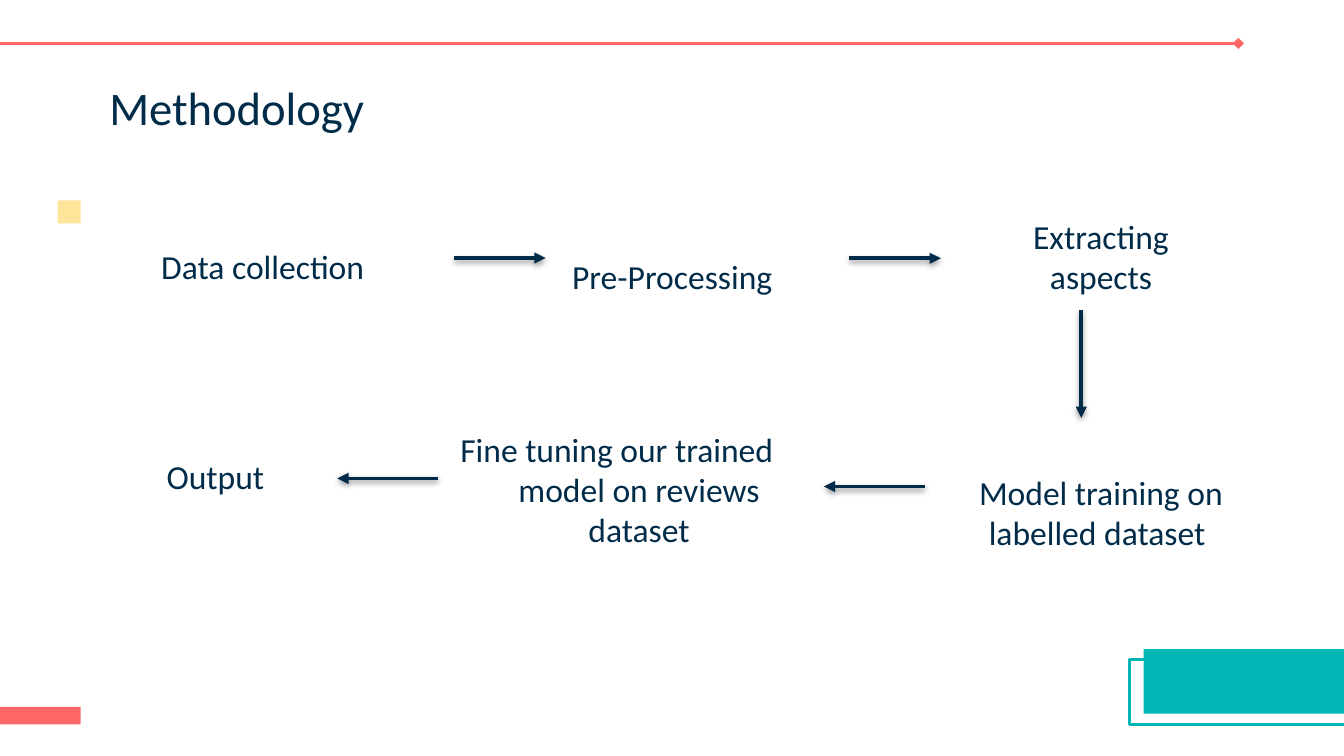
from dataclasses import dataclass

from lxml import etree
from pptx import Presentation
from pptx.dml.color import RGBColor
from pptx.enum.shapes import MSO_CONNECTOR, MSO_SHAPE
from pptx.enum.text import MSO_ANCHOR, PP_ALIGN
from pptx.oxml import parse_xml
from pptx.oxml.ns import nsdecls, qn
from pptx.util import Emu, Inches, Pt

RECTANGLE = MSO_SHAPE.RECTANGLE
STRAIGHT = MSO_CONNECTOR.STRAIGHT
TOP, BOTTOM = MSO_ANCHOR.TOP, MSO_ANCHOR.BOTTOM
LEFT, CENTER = PP_ALIGN.LEFT, PP_ALIGN.CENTER

COLORS = {
    "navy": "012C49",
    "coral": "FF6768",
    "teal": "00B7B5",
    "sand": "FFE599",
}
FONT = "Calibri"
CELL = Inches(0.1)
COLUMNS, ROWS = 100, 56.25
STEP_WIDTH = 26.2


@dataclass(frozen=True)
class Area:
    column: float
    row: float
    columns: float
    rows: float


@dataclass(frozen=True)
class Step:
    text: str
    area: Area
    hanging: bool = False


@dataclass(frozen=True)
class Arrow:
    column: float
    row: float
    across: float = 0
    down: float = 0


@dataclass(frozen=True)
class Block:
    area: Area
    color: str
    outlined: bool = False


BLOCKS = [
    Block(Area(4.3, 14.92, 1.7, 1.7), "sand"),
    Block(Area(85.1, 48.3, 21.1, 4.8), "teal"),
    Block(Area(84.04, 49.1, 21.1, 4.8), "teal", outlined=True),
    Block(Area(-2.8, 52.6, 8.8, 1.3), "coral"),
]
STEPS = [
    Step("Data collection", Area(6.45, 14.6, STEP_WIDTH, 7.7)),
    Step("Pre-Processing", Area(36.07, 15.35, STEP_WIDTH, 7.7), hanging=True),
    Step("Extracting\naspects", Area(68.82, 15.35, STEP_WIDTH, 7.7)),
    Step("Model training on labelled dataset ", Area(68.82, 32, STEP_WIDTH, 10.1)),
    Step("Fine tuning our trained model on reviews dataset",
         Area(28.8, 30.4, 32.5, 11.5), hanging=True),
    Step("Output", Area(2.93, 30.24, STEP_WIDTH, 7.7)),
]
ARROWS = [
    Arrow(33.8, 19.2, across=6.8),
    Arrow(63.2, 19.22, across=6.8),
    Arrow(80.45, 23.1, down=8),
    Arrow(68.8, 36.2, across=-7.5),
    Arrow(32.6, 35.6, across=-7.5),
]


def cells(count: float) -> Emu:
    return Emu(round(count * CELL))


def place(area: Area) -> tuple[Emu, Emu, Emu, Emu]:
    return cells(area.column), cells(area.row), cells(area.columns), cells(area.rows)


def color_of(name: str) -> RGBColor:
    return RGBColor.from_string(COLORS[name])


def add_block(page, block: Block) -> None:
    shape = page.shapes.add_shape(RECTANGLE, *place(block.area))
    shape.shadow.inherit = False
    if block.outlined:
        shape.fill.background()
        shape.line.color.rgb = color_of(block.color)
        shape.line.width = Pt(1.5)
    else:
        shape.fill.solid()
        shape.fill.fore_color.rgb = color_of(block.color)
        shape.line.fill.background()


def add_text(page, text: str, area: Area, *, size: float = 18, align=CENTER,
             anchor=BOTTOM, hanging: bool = False) -> None:
    box = page.shapes.add_textbox(*place(area))
    frame = box.text_frame
    frame.word_wrap = True
    frame.vertical_anchor = anchor
    frame.margin_left = frame.margin_right = cells(1)
    frame.margin_top = frame.margin_bottom = cells(1)
    frame.text = text
    for para in frame.paragraphs:
        para.alignment = align
        if hanging:
            properties = para._p.get_or_add_pPr()
            properties.set("marL", str(Inches(0.5)))
            properties.set("indent", str(Inches(-0.33)))
        for span in para.runs:
            span.font.name = FONT
            span.font.size = Pt(size)
            span.font.color.rgb = color_of("navy")


def add_line(page, arrow: Arrow, *, color: str, width: float, end: str,
             kind: str, shadow: bool = False) -> None:
    line = page.shapes.add_connector(
        STRAIGHT, cells(arrow.column), cells(arrow.row),
        cells(arrow.column + arrow.across), cells(arrow.row + arrow.down))
    line.line.color.rgb = color_of(color)
    line.line.width = Pt(width)
    etree.SubElement(line.line._get_or_add_ln(), qn(f"a:{end}"), type=kind)
    effects = parse_xml(f"<a:effectLst {nsdecls('a')}/>")
    if shadow:
        effects.append(parse_xml(
            f'<a:outerShdw {nsdecls("a")} blurRad="{Pt(3.1)}" dist="{Pt(1.6)}" '
            'dir="5400000" rotWithShape="0"><a:srgbClr val="000000">'
            '<a:alpha val="38000"/></a:srgbClr></a:outerShdw>'))
    line._element.spPr.append(effects)


def main() -> None:
    deck = Presentation()
    deck.slide_width, deck.slide_height = cells(COLUMNS), cells(ROWS)
    page = deck.slides.add_slide(deck.slide_layouts[6])

    for block in BLOCKS:
        add_block(page, block)
    add_line(page, Arrow(92.14, 3.23, across=-92.14), color="coral", width=1.5,
             end="headEnd", kind="diamond")
    add_text(page, "Methodology", Area(7.15, 4.9, 84.3, 6.3), size=25,
             align=LEFT, anchor=TOP)
    for step in STEPS:
        add_text(page, step.text, step.area, hanging=step.hanging)
    for arrow in ARROWS:
        add_line(page, arrow, color="navy", width=2, end="tailEnd",
                 kind="triangle", shadow=True)

    deck.save("out.pptx")


if __name__ == "__main__":
    main()
